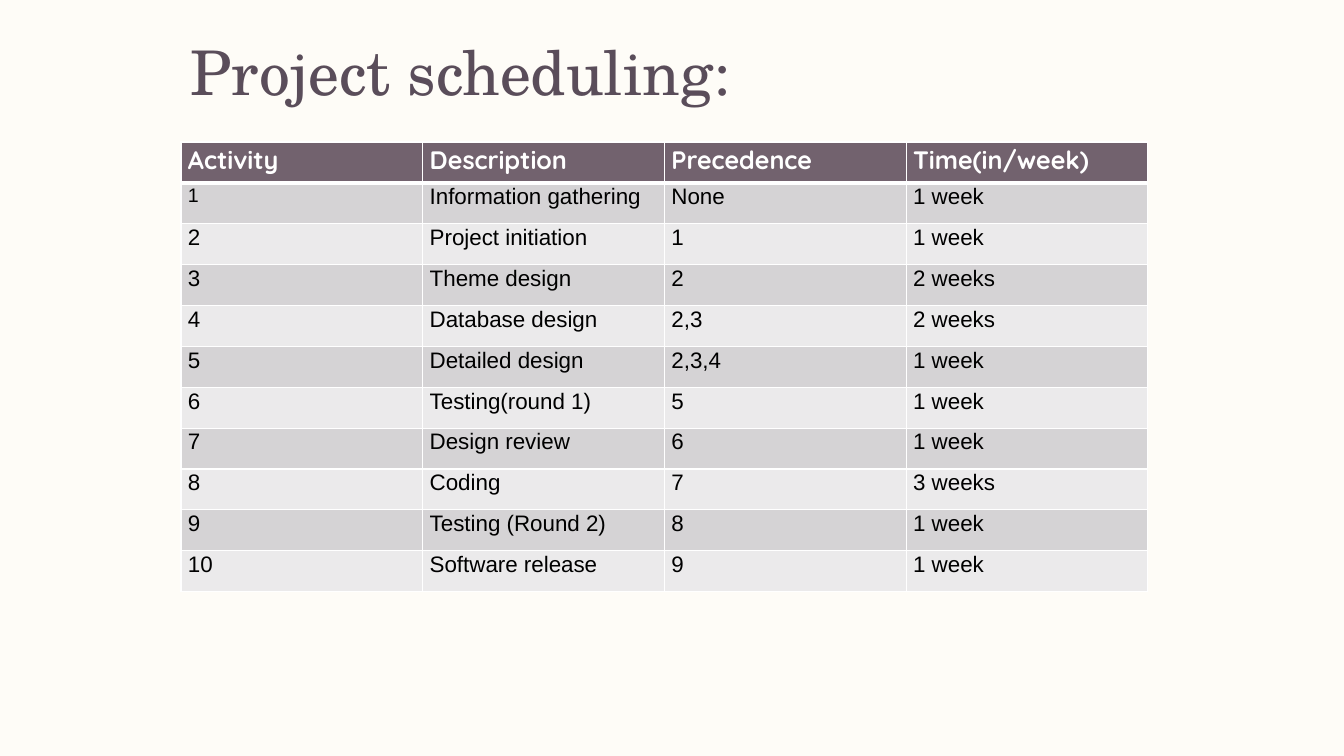
from dataclasses import dataclass

from lxml import etree
from pptx import Presentation
from pptx.dml.color import RGBColor
from pptx.enum.text import MSO_ANCHOR
from pptx.oxml.ns import qn
from pptx.util import Emu, Pt

MIDDLE = MSO_ANCHOR.MIDDLE
TOP = MSO_ANCHOR.TOP

SLIDE_W, SLIDE_H = 1344, 756
EMU_PER_PX = 12192000 / SLIDE_W

CREAM = RGBColor(0xFE, 0xFC, 0xF7)
PLUM = RGBColor(0x5A, 0x4D, 0x5A)
HEADER_FILL = RGBColor(0x72, 0x62, 0x6E)
BAND_DARK = RGBColor(0xD5, 0xD3, 0xD5)
BAND_LIGHT = RGBColor(0xEB, 0xEA, 0xEB)
WHITE = RGBColor(0xFF, 0xFF, 0xFF)
BLACK = RGBColor(0x00, 0x00, 0x00)


@dataclass(frozen=True)
class TextStyle:
    font: str
    size: int
    color: RGBColor
    bold: bool = False
    spacing: float = 1.07


@dataclass(frozen=True)
class Activity:
    description: str
    precedence: str
    time: str


TITLE = TextStyle("TeX Gyre Schola", 44, PLUM, spacing=0.99)
HEADER = TextStyle("Quicksand", 18, WHITE, bold=True)
BODY = TextStyle("Arial", 16, BLACK)
FIRST_NUMBER = TextStyle("Arial", 14, BLACK)

HEADINGS = ("Activity", "Description", "Precedence", "Time(in/week)")
ACTIVITIES = (
    Activity("Information gathering", "None", "1 week"),
    Activity("Project initiation", "1", "1 week"),
    Activity("Theme design", "2", "2 weeks"),
    Activity("Database design", "2,3", "2 weeks"),
    Activity("Detailed design", "2,3,4", "1 week"),
    Activity("Testing(round 1)", "5", "1 week"),
    Activity("Design review", "6", "1 week"),
    Activity("Coding", "7", "3 weeks"),
    Activity("Testing (Round 2)", "8", "1 week"),
    Activity("Software release", "9", "1 week"),
)


def px(n: int) -> Emu:
    return Emu(round(n * EMU_PER_PX))


def add_text(tf, text: str, style: TextStyle) -> None:
    p = tf.paragraphs[0]
    p.line_spacing = style.spacing
    r = p.add_run()
    r.text = text
    r.font.name = style.font
    r.font.size = Pt(style.size)
    r.font.bold = style.bold
    r.font.color.rgb = style.color


def set_borders(cell, top: int, bottom: int) -> None:
    """Draw white borders, with widths in points."""
    tc_pr = cell._tc.get_or_add_tcPr()
    sides = (("a:lnL", 1), ("a:lnR", 1), ("a:lnT", top), ("a:lnB", bottom))
    for i, (tag, width) in enumerate(sides):
        ln = etree.Element(qn(tag), w=str(Pt(width)))
        fill = etree.SubElement(ln, qn("a:solidFill"))
        etree.SubElement(fill, qn("a:srgbClr"), val=str(WHITE))
        tc_pr.insert(i, ln)  # borders come before the fill


def fill_cell(cell, text: str, style: TextStyle, fill: RGBColor,
              top: int, bottom: int) -> None:
    cell.margin_left = cell.margin_right = px(7)
    cell.margin_top = cell.margin_bottom = 0
    cell.vertical_anchor = TOP
    cell.fill.solid()
    cell.fill.fore_color.rgb = fill
    set_borders(cell, top, bottom)
    add_text(cell.text_frame, text, style)


def add_title(s) -> None:
    tf = s.shapes.add_textbox(px(181), px(26), px(981), px(96)).text_frame
    tf.word_wrap = True
    tf.vertical_anchor = MIDDLE
    add_text(tf, "Project scheduling:", TITLE)


def add_schedule(s) -> None:
    rows = [HEADINGS] + [
        (str(n), a.description, a.precedence, a.time)
        for n, a in enumerate(ACTIVITIES, 1)
    ]
    table = s.shapes.add_table(len(rows), len(HEADINGS), px(181), px(142),
                               px(967), px(450)).table
    for i, row in enumerate(rows):
        fill = HEADER_FILL if i == 0 else BAND_DARK if i % 2 else BAND_LIGHT
        # A thick rule parts the header from the first activity
        top = 3 if i == 1 else 1
        bottom = 3 if i == 0 else 1
        for j, text in enumerate(row):
            style = HEADER if i == 0 else BODY
            if (i, j) == (1, 0):
                style = FIRST_NUMBER
            fill_cell(table.cell(i, j), text, style, fill, top, bottom)


def main() -> None:
    prs = Presentation()
    prs.slide_width, prs.slide_height = px(SLIDE_W), px(SLIDE_H)
    s = prs.slides.add_slide(prs.slide_layouts[6])
    s.background.fill.solid()
    s.background.fill.fore_color.rgb = CREAM
    add_title(s)
    add_schedule(s)
    prs.save("out.pptx")


if __name__ == "__main__":
    main()
